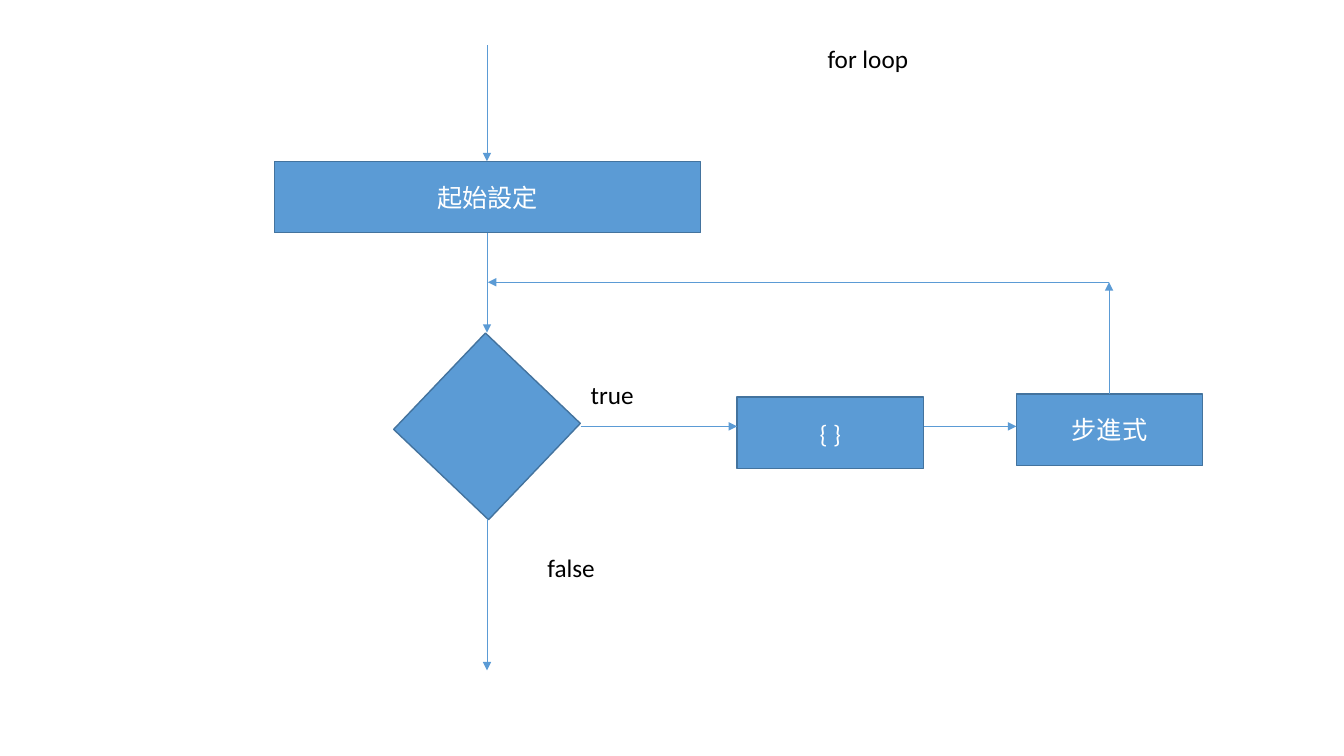
import dataclasses

import pptx
import pptx.dml.color
import pptx.enum.shapes
import pptx.enum.text
import pptx.oxml
import pptx.oxml.ns
import pptx.shapes.autoshape
import pptx.shapes.shapetree
import pptx.text.text
import pptx.util

PX = 9144  # EMU per px, at 100 px to the inch


@dataclasses.dataclass(frozen=True)
class Theme:
    fill: str = "5B9BD5"
    edge: str = "43739E"
    light: str = "FFFFFF"
    dark: str = "000000"
    font: str = "Calibri"
    size: int = 18
    rim: float = 1
    wire: float = 0.5


@dataclasses.dataclass(frozen=True)
class Box:
    left: int
    top: int
    width: int
    height: int
    text: str = ""
    turn: float = 0


@dataclasses.dataclass(frozen=True)
class Label:
    left: int
    top: int
    width: int
    text: str
    height: int = 40


@dataclasses.dataclass(frozen=True)
class Arrow:
    x1: int
    y1: int
    x2: int
    y2: int


THEME = Theme()
Tree = pptx.shapes.shapetree.SlideShapes

MAIN, STEP = 483, 1100  # x of the main flow and of the way back
FLOW, BACK = 423, 280  # y of the loop body and of the way back

START = Box(272, 160, 423, 71, "起始設定")
TEST = Box(418, 357, 130, 132, turn=43.6)
BODY = Box(731, 394, 185, 71, "{ }")
NEXT = Box(1008, 391, 185, 71, "步進式")
BOXES = [START, TEST, BODY, NEXT]

LABELS = [
    Label(576, 371, 63, "true"),
    Label(533, 543, 68, "false"),
    Label(811, 38, 101, "for loop"),
]

ARROWS = [
    Arrow(MAIN, 45, MAIN, START.top),
    Arrow(MAIN, START.top + START.height, MAIN, 330),
    Arrow(MAIN, 515, MAIN, 665),
    Arrow(576, FLOW, BODY.left, FLOW),
    Arrow(BODY.left + BODY.width, FLOW, NEXT.left, FLOW),
    Arrow(STEP, NEXT.top, STEP, BACK),
    Arrow(STEP, BACK, MAIN + 1, BACK),
]


def color(code: str) -> pptx.dml.color.RGBColor:
    return pptx.dml.color.RGBColor.from_string(code)


def write(frame: pptx.text.text.TextFrame, text: str, code: str) -> None:
    frame.text = text
    for run in frame.paragraphs[0].runs:
        run.font.name = THEME.font
        run.font.size = pptx.util.Pt(THEME.size)
        run.font.color.rgb = color(code)


def draw_box(tree: Tree, box: Box) -> None:
    shape = tree.add_shape(
        pptx.enum.shapes.MSO_SHAPE.RECTANGLE,
        box.left * PX, box.top * PX, box.width * PX, box.height * PX,
    )
    shape.rotation = box.turn
    shape.shadow.inherit = False
    shape.fill.solid()
    shape.fill.fore_color.rgb = color(THEME.fill)
    shape.line.color.rgb = color(THEME.edge)
    shape.line.width = pptx.util.Pt(THEME.rim)
    if box.text:
        frame = shape.text_frame
        frame.vertical_anchor = pptx.enum.text.MSO_ANCHOR.MIDDLE
        write(frame, box.text, THEME.light)
        frame.paragraphs[0].alignment = pptx.enum.text.PP_ALIGN.CENTER


def draw_label(tree: Tree, label: Label) -> None:
    shape = tree.add_textbox(
        label.left * PX, label.top * PX, label.width * PX, label.height * PX
    )
    frame = shape.text_frame
    frame.word_wrap = False
    frame.auto_size = pptx.enum.text.MSO_AUTO_SIZE.SHAPE_TO_FIT_TEXT
    write(frame, label.text, THEME.dark)


def draw_arrow(tree: Tree, arrow: Arrow) -> None:
    line = tree.add_connector(
        pptx.enum.shapes.MSO_CONNECTOR.STRAIGHT,
        arrow.x1 * PX, arrow.y1 * PX, arrow.x2 * PX, arrow.y2 * PX,
    )
    line.line.color.rgb = color(THEME.fill)
    line.line.width = pptx.util.Pt(THEME.wire)
    props = line._element.spPr
    space = pptx.oxml.ns.nsdecls("a")
    head = pptx.oxml.parse_xml(f'<a:tailEnd {space} type="triangle"/>')
    props.find(pptx.oxml.ns.qn("a:ln")).append(head)
    props.append(pptx.oxml.parse_xml(f"<a:effectLst {space}/>"))


def main() -> None:
    deck = pptx.Presentation()
    deck.slide_width = 1333 * PX
    deck.slide_height = 750 * PX
    tree = deck.slides.add_slide(deck.slide_layouts[6]).shapes
    for box in BOXES:
        draw_box(tree, box)
    for arrow in ARROWS:
        draw_arrow(tree, arrow)
    for label in LABELS:
        draw_label(tree, label)
    deck.save("out.pptx")


if __name__ == "__main__":
    main()
